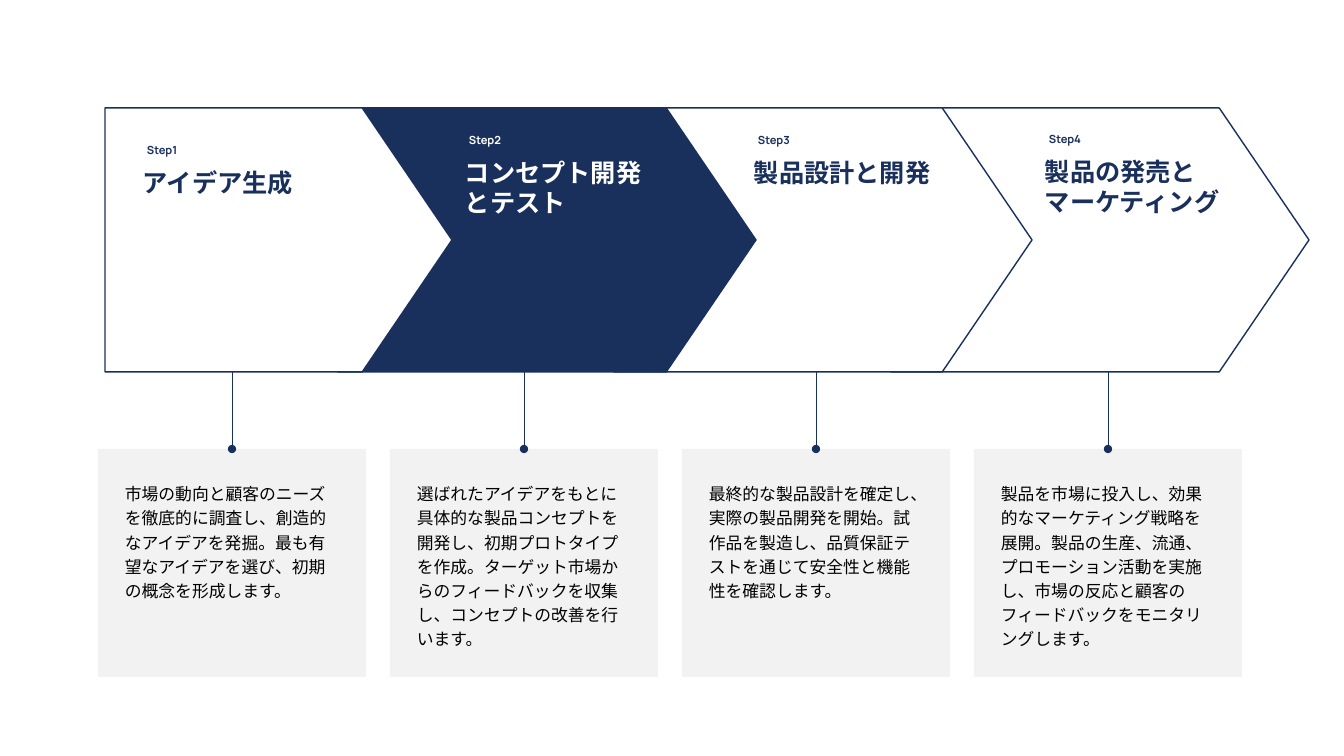
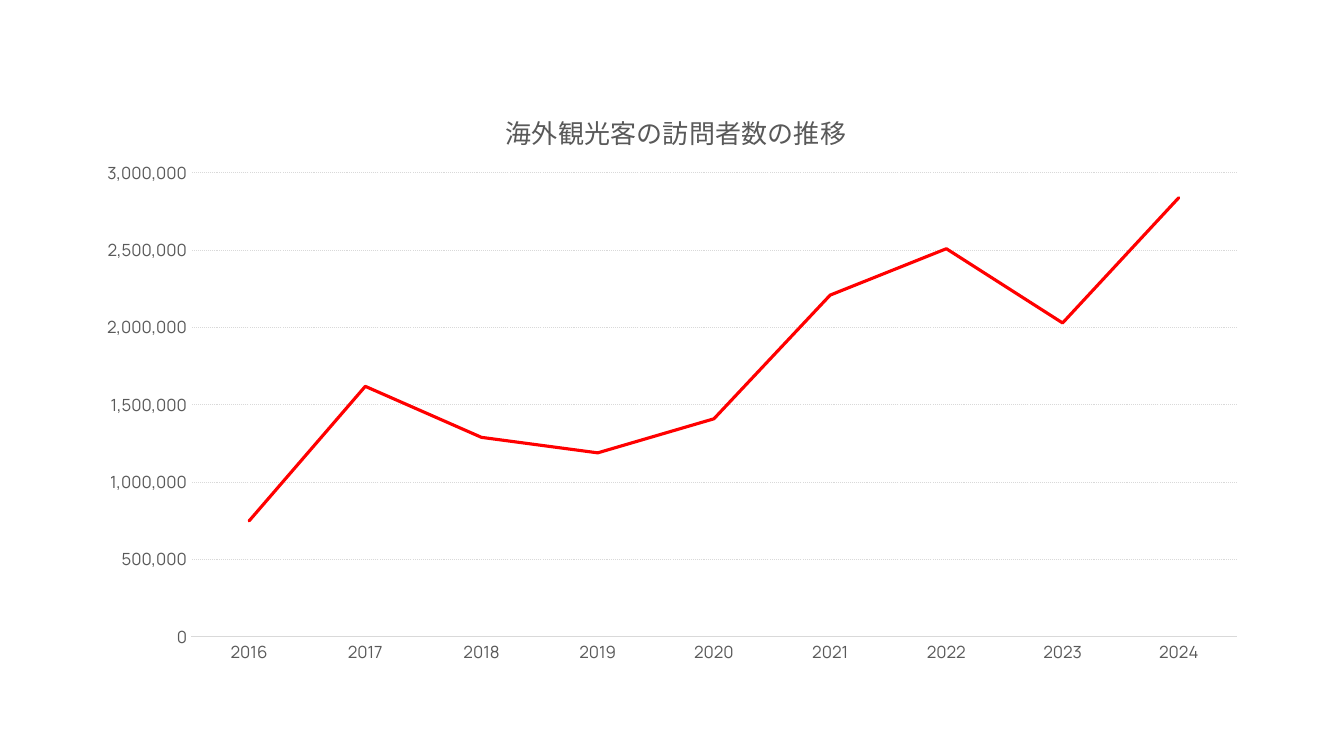
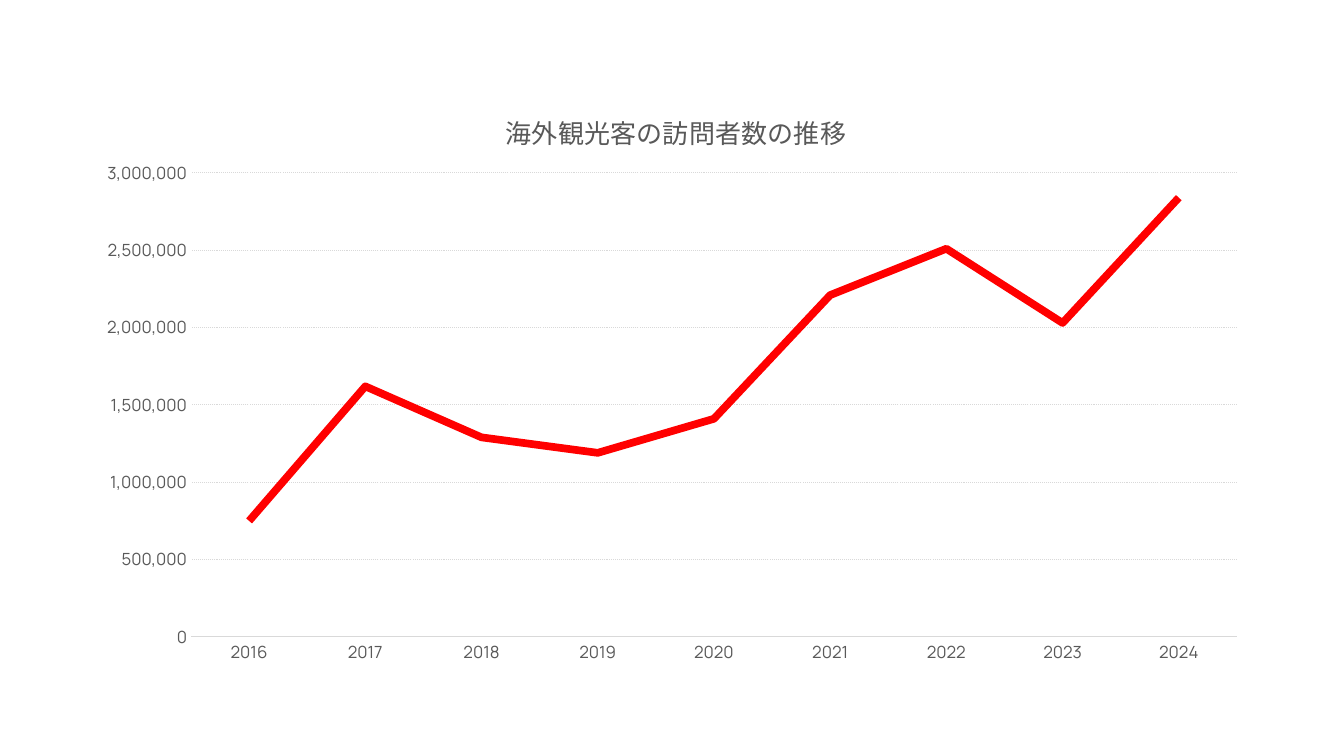
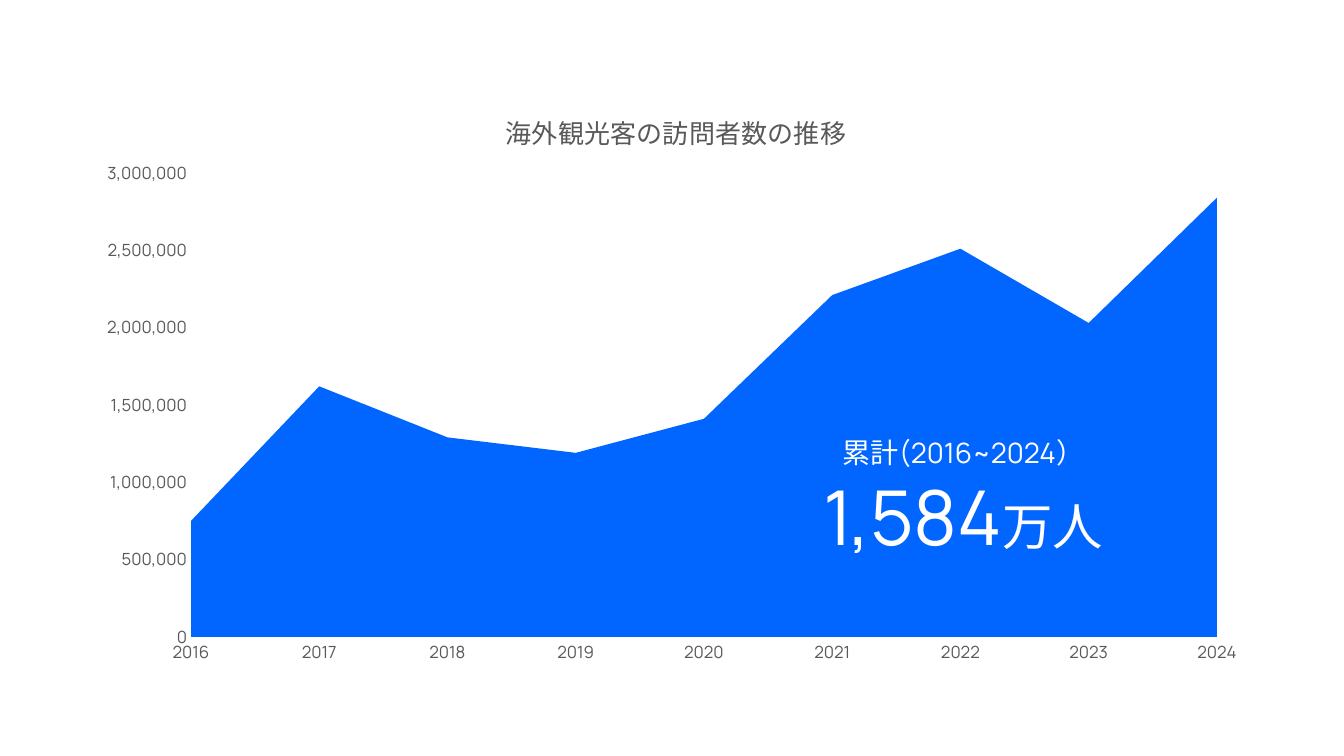
from lxml.etree import SubElement
from pptx import Presentation
from pptx.chart.data import CategoryChartData
from pptx.dml.color import RGBColor
from pptx.enum.chart import XL_CHART_TYPE, XL_TICK_MARK
from pptx.enum.dml import MSO_LINE
from pptx.enum.lang import MSO_LANGUAGE_ID
from pptx.enum.shapes import MSO_CONNECTOR, MSO_SHAPE
from pptx.enum.text import MSO_AUTO_SIZE, PP_ALIGN
from pptx.oxml.ns import qn
from pptx.util import Pt

SCALE = 12192000 / 1344
COLORS = {
    "navy": "19305D",
    "white": "FFFFFF",
    "card": "F2F2F2",
    "text": "000000",
    "label": "595959",
    "rule": "D9D9D9",
    "red": "FF0000",
    "blue": "0066FF",
}
LATIN = "Manrope"
JAPANESE = "Noto Sans CJK JP"

STEPS = [
    ("アイデア生成", 133, 162, 40,
     "市場の動向と顧客のニーズを徹底的に調査し、創造的なアイデアを発掘。"
     "最も有望なアイデアを選び、初期の概念を形成します。"),
    ("コンセプト開発とテスト", 455, 152, 71,
     "選ばれたアイデアをもとに具体的な製品コンセプトを開発し、初期プロトタイプを作成。"
     "ターゲット市場からのフィードバックを収集し、コンセプトの改善を行います。"),
    ("製品設計と開発", 744, 152, 40,
     "最終的な製品設計を確定し、実際の製品開発を開始。"
     "試作品を製造し、品質保証テストを通じて安全性と機能性を確認します。"),
    ("製品の発売とマーケティング", 1035, 151, 71,
     "製品を市場に投入し、効果的なマーケティング戦略を展開。"
     "製品の生産、流通、プロモーション活動を実施し、"
     "市場の反応と顧客のフィードバックをモニタリングします。"),
]
ACTIVE_STEP = 1
CHEVRON_BOXES = [(105, 347), (338, 418), (614, 418), (891, 418)]

YEARS = [str(year) for year in range(2016, 2025)]
VISITORS = [750000, 1620000, 1290000, 1190000, 1410000, 2210000, 2510000, 2030000, 2840000]
CHART_TITLE = "海外観光客の訪問者数の推移"
CHART_BOX = (84, 80, 1177, 598)


def px(*lengths):
    return [round(length * SCALE) for length in lengths]


def rgb(name):
    return RGBColor.from_string(COLORS[name])


class Deck:
    """Holds the shared style and the slide being built."""

    def __init__(self):
        self.presentation = Presentation()
        self.presentation.slide_width, self.presentation.slide_height = px(1344, 756)
        self.slide = None

    def add_slide(self):
        self.slide = self.presentation.slides.add_slide(self.presentation.slide_layouts[6])

    def style(self, font, size, color, name=JAPANESE, bold=False):
        font.size = Pt(size)
        font.bold = bold
        font.name = name
        font.color.rgb = rgb(color)
        font.language_id = MSO_LANGUAGE_ID.JAPANESE
        SubElement(font._rPr, qn("a:ea"), typeface=JAPANESE)

    def shape(self, kind, box, fill, line=None):
        shape = self.slide.shapes.add_shape(kind, *px(*box))
        shape.shadow.inherit = False
        shape.fill.solid()
        shape.fill.fore_color.rgb = rgb(fill)
        if line:
            shape.line.color.rgb = rgb(line)
            shape.line.width = Pt(1)
        else:
            shape.line.fill.background()
        return shape

    def chevron(self, box, fill):
        shape = self.shape(MSO_SHAPE.PENTAGON, box, fill, "navy")
        shape.adjustments[0] = 0.34

    def pin(self, top, card):
        center = card.left + card.width // 2
        start = px(top)[0]
        connector = self.slide.shapes.add_connector(
            MSO_CONNECTOR.STRAIGHT, center, start, center, card.top)
        connector.end_connect(card, 0)
        connector.line.color.rgb = rgb("navy")
        connector.line.width = Pt(0.5)
        properties = connector._element.spPr
        SubElement(properties.find(qn("a:ln")), qn("a:tailEnd"), type="oval")
        SubElement(properties, qn("a:effectLst"))

    def text(self, box, paragraphs, color, name=JAPANESE, bold=False, align=None, spacing=None):
        frame = self.slide.shapes.add_textbox(*px(*box)).text_frame
        frame.word_wrap = True
        frame.auto_size = MSO_AUTO_SIZE.SHAPE_TO_FIT_TEXT
        for index, runs in enumerate(paragraphs):
            paragraph = frame.add_paragraph() if index else frame.paragraphs[0]
            paragraph.alignment = align
            paragraph.line_spacing = spacing
            for words, size in runs:
                run = paragraph.add_run()
                run.text = words
                self.style(run.font, size, color, name, bold)

    def place(self, element, position, **values):
        for old in element.findall(qn("c:layout")):
            element.remove(old)
        layout = element.makeelement(qn("c:layout"), {})
        element.insert(position, layout)
        manual = SubElement(layout, qn("c:manualLayout"))
        for tag, value in values.items():
            SubElement(manual, qn(f"c:{tag}"), val=str(value))

    def cross(self, axis, crossing):
        element = axis._element
        for old in element.findall(qn("c:crossBetween")):
            element.remove(old)
        unit = element.find(qn("c:majorUnit"))
        unit.addprevious(element.makeelement(qn("c:crossBetween"), {"val": crossing}))

    def axis(self, axis):
        axis.major_tick_mark = axis.minor_tick_mark = XL_TICK_MARK.NONE
        font = axis.tick_labels.font
        font.size = Pt(12)
        font.name = LATIN
        font.color.rgb = rgb("label")

    def chart(self, kind, plot_width, crossing, gridlines):
        data = CategoryChartData(number_format="#,##0")
        data.categories = YEARS
        data.add_series("Series 1", VISITORS)
        chart = self.slide.shapes.add_chart(kind, *px(*CHART_BOX), data).chart
        chart.has_legend = False
        chart.font.size = Pt(10)
        chart.font.name = JAPANESE
        chart.font.color.rgb = rgb("text")
        chart.plots[0].vary_by_categories = False

        run = chart.chart_title.text_frame.paragraphs[0].add_run()
        run.text = CHART_TITLE
        self.style(run.font, 18.6, "label", LATIN)

        years, visitors = chart.category_axis, chart.value_axis
        self.axis(years)
        years.has_major_gridlines = False
        years.format.line.color.rgb = rgb("rule")
        years.format.line.width = Pt(0.75)
        self.axis(visitors)
        visitors.minimum_scale, visitors.maximum_scale = 0, 3000000
        visitors.major_unit = 500000
        self.cross(visitors, crossing)
        visitors.tick_labels.number_format = "#,##0"
        visitors.tick_labels.number_format_is_linked = False
        visitors.format.line.fill.background()
        visitors.has_major_gridlines = gridlines
        if gridlines:
            grid = visitors.major_gridlines.format.line
            grid.color.rgb = rgb("rule")
            grid.width = Pt(0.75)
            grid.dash_style = MSO_LINE.ROUND_DOT

        left, top, width, height = CHART_BOX
        self.place(chart.chart_title._element, 1, xMode="edge", yMode="edge",
                   x=(501 - left) / width, y=(105 - top) / height)
        self.place(chart._chartSpace.find(f".//{qn('c:plotArea')}"), 0,
                   layoutTarget="inner", xMode="edge", yMode="edge",
                   x=(191 - left) / width, y=(173 - top) / height,
                   w=plot_width / width, h=464 / height)
        return chart.plots[0].series[0]

    def line_chart(self, weight, cap):
        series = self.chart(XL_CHART_TYPE.LINE, 1046, "between", True)
        series.smooth = False
        series.format.line.color.rgb = rgb("red")
        series.format.line.width = Pt(weight)
        outline = series._element.find(f"{qn('c:spPr')}/{qn('a:ln')}")
        outline.set("cap", cap)
        SubElement(outline, qn("a:round"))

    def area_chart(self):
        series = self.chart(XL_CHART_TYPE.AREA, 1026, "midCat", False)
        series.format.fill.solid()
        series.format.fill.fore_color.rgb = rgb("blue")
        series.format.line.fill.background()


def build_steps(deck):
    deck.add_slide()
    cards = [deck.shape(MSO_SHAPE.RECTANGLE, (98 + 292 * index, 449, 268, 228), "card")
             for index in range(len(STEPS))]
    for index, (left, width) in reversed(list(enumerate(CHEVRON_BOXES))):
        deck.chevron((left, 108, width, 264), "navy" if index == ACTIVE_STEP else "white")
    for index, (title, left, top, height, body) in enumerate(STEPS):
        color = "white" if index == ACTIVE_STEP else "navy"
        deck.text((left, top, 198, height), [[(title, 18)]], color, bold=True)
        deck.text((left + 4, top - 24, 198, 24), [[(f"Step{index + 1}", 8)]], color, LATIN, True)
        deck.text((115 + 292 * index, 475, 235, 179), [[(body, 12)]], "text", spacing=1.2)
        deck.pin(372, cards[index])


def main():
    deck = Deck()
    build_steps(deck)
    for weight, cap in [(2.25, "rnd"), (5.5, "flat")]:
        deck.add_slide()
        deck.line_chart(weight, cap)
    deck.add_slide()
    deck.area_chart()
    deck.text((795, 431, 337, 136),
              [[("累計(2016~2024）", 20)], [("1,584", 54), ("万人", 36)]],
              "white", LATIN, align=PP_ALIGN.CENTER)
    deck.presentation.save("out.pptx")


if __name__ == "__main__":
    main()
